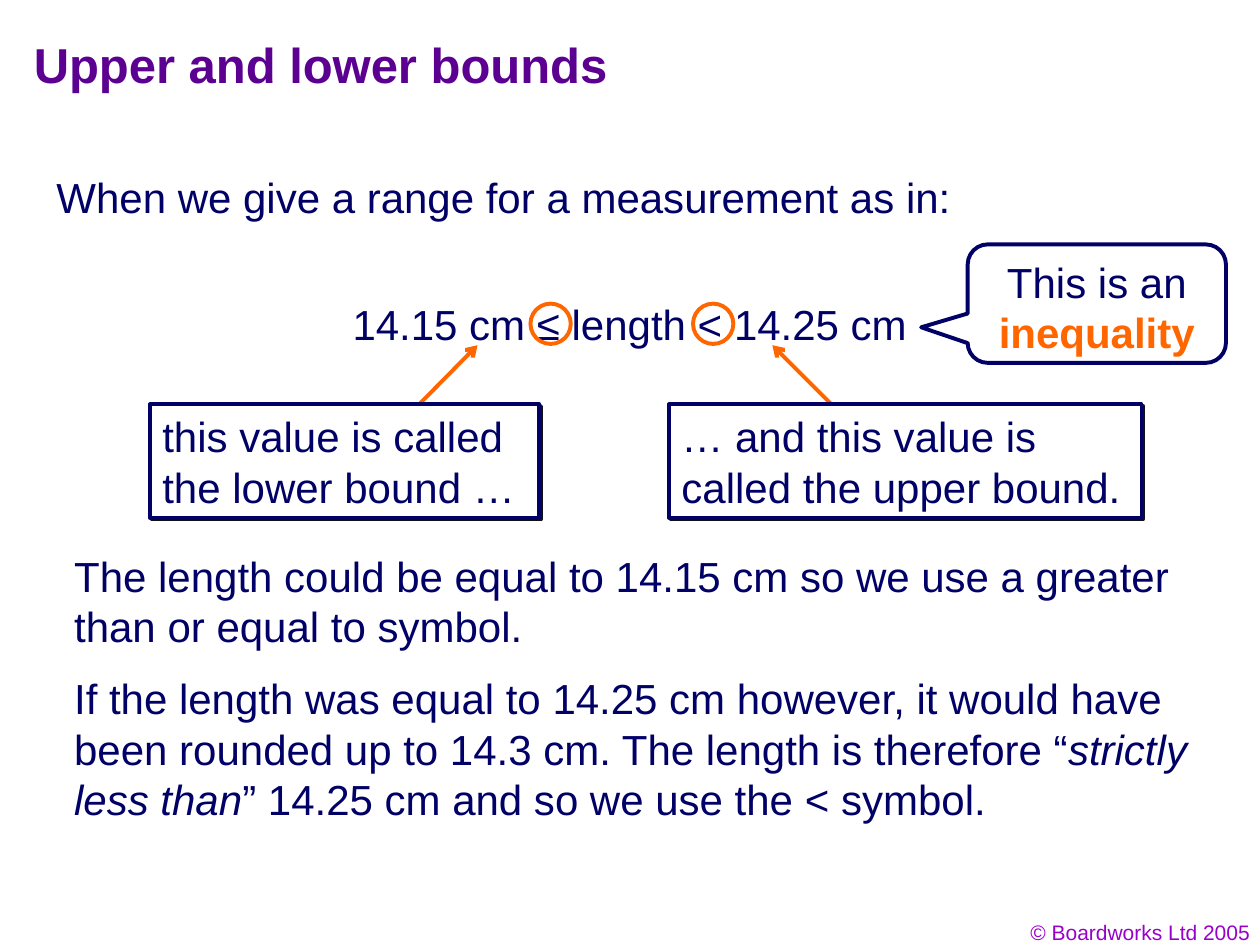
from dataclasses import dataclass

from lxml import etree
from pptx import Presentation
from pptx.dml.color import RGBColor
from pptx.enum.shapes import MSO_CONNECTOR, MSO_SHAPE
from pptx.enum.text import MSO_ANCHOR, PP_ALIGN
from pptx.oxml.ns import qn
from pptx.util import Inches, Pt

LINE = MSO_CONNECTOR.STRAIGHT
RECT = MSO_SHAPE.RECTANGLE
OVAL = MSO_SHAPE.OVAL
BUBBLE = MSO_SHAPE.ROUNDED_RECTANGULAR_CALLOUT
TOP, MIDDLE = MSO_ANCHOR.TOP, MSO_ANCHOR.MIDDLE
LEFT, CENTER, RIGHT = PP_ALIGN.LEFT, PP_ALIGN.CENTER, PP_ALIGN.RIGHT


@dataclass(frozen=True)
class Theme:
    """Hold the colours, font and sizes of the slide."""
    font: str = "Arial"
    ink: str = "010066"
    edge: str = "000066"
    accent: str = "FF6600"
    title: str = "5B0091"
    credit: str = "9900CC"
    shade: str = "111111"
    paper: str = "FFFFFF"
    body: int = 24
    head: int = 28
    small: int = 12
    stroke: float = 2.25


THEME = Theme()


def rgb(code):
    """Turn a hex code into a colour."""
    return RGBColor.from_string(code)


def write(frame, runs, align=LEFT, anchor=TOP, wrap=True, **base):
    """Fill a frame with one paragraph of (text, format) runs."""
    frame.word_wrap = wrap
    frame.vertical_anchor = anchor
    para = frame.paragraphs[0]
    para.alignment = align
    for text, extra in runs:
        look = {"name": THEME.font, "size": THEME.body, "color": THEME.ink, **base, **extra}
        run = para.add_run()
        run.text = text
        run.font.color.rgb = rgb(look.pop("color"))
        look["size"] = Pt(look["size"])
        for key, value in look.items():
            setattr(run.font, key, value)


def label(slide, box, runs, **look):
    """Add a plain text box."""
    shape = slide.shapes.add_textbox(*map(Inches, box))
    write(shape.text_frame, runs, **look)


def outline(slide, kind, box, color, fill=None):
    """Add an outlined shape, filled or hollow."""
    shape = slide.shapes.add_shape(kind, *map(Inches, box))
    shape.shadow.inherit = False
    if fill:
        shape.fill.solid()
        shape.fill.fore_color.rgb = rgb(fill)
    else:
        shape.fill.background()
    shape.line.color.rgb = rgb(color)
    shape.line.width = Pt(THEME.stroke)
    return shape


def note(slide, box, text):
    """Add a boxed note with a hard shadow."""
    shape = outline(slide, RECT, box, THEME.edge, THEME.paper)
    glow = shape.element.spPr.find(qn("a:effectLst"))
    drop = etree.SubElement(glow, qn("a:outerShdw"), dist=str(Pt(1.4)), dir="2700000")
    etree.SubElement(drop, qn("a:srgbClr"), val=THEME.shade)
    write(shape.text_frame, [(text, {})])


def arrow(slide, start, end):
    """Add an accent arrow pointing at its end."""
    link = slide.shapes.add_connector(LINE, *map(Inches, start + end))
    link.line.color.rgb = rgb(THEME.accent)
    link.line.width = Pt(THEME.stroke)
    etree.SubElement(link.line._get_or_add_ln(), qn("a:tailEnd"), type="arrow")
    etree.SubElement(link.element.spPr, qn("a:effectLst"))


def bubble(slide, box, runs, bends):
    """Add a speech bubble with centred text."""
    shape = outline(slide, BUBBLE, box, THEME.edge, THEME.paper)
    for i, bend in enumerate(bends):
        shape.adjustments[i] = bend
    write(shape.text_frame, runs, align=CENTER)


def main():
    """Build and save the slide."""
    deck = Presentation()
    deck.slide_width, deck.slide_height = Inches(10), Inches(7.5)
    slide = deck.slides.add_slide(deck.slide_layouts[6])
    edge = {"color": THEME.edge}

    label(slide, (7.69, 7.25, 2.33, 0.3), [("© Boardworks Ltd 2005", {})],
          align=RIGHT, size=THEME.small, color=THEME.credit)
    label(slide, (0.17, 0.17, 8.5, 0.67), [("Upper and lower bounds", {})],
          anchor=MIDDLE, size=THEME.head, color=THEME.title, bold=True)
    label(slide, (0.35, 1.31, 9.13, 0.5),
          [("When we give a range for a measurement as in:", {})])
    label(slide, (2.7, 2.32, 4.6, 0.5),
          [("14.15 cm ", {}), ("≤ length < ", edge), ("14.25 cm", {})], wrap=False)

    for start, tip, left, width, text in (
        (3.01, 3.79, 1.19, 3.09, "this value is called the lower bound …"),
        (6.92, 6.13, 5.31, 3.75, "… and this value is called the upper bound."),
    ):
        arrow(slide, (start, 3.53), (tip, 2.74))
        note(slide, (left, 3.21, width, 0.9), text)

    label(slide, (0.49, 4.32, 9.31, 0.9), [
        ("The length could be equal to 14.15 cm so we use a greater "
         "than or equal to symbol", {}), (".", edge)])
    label(slide, (0.49, 5.29, 9.31, 1.3), [
        ("If the length was equal to 14.25 cm however, it would have been "
         "rounded up to 14.3 cm. The length is therefore “", {}),
        ("strictly less than", {"italic": True}),
        ("” 14.25 cm and so we use the ", {}),
        ("<", edge), (" symbol", {}), (".", edge)])

    bubble(slide, (7.68, 1.94, 2.05, 0.94),
           [("This is an ", {}), ("inequality", {"color": THEME.accent, "bold": True})],
           (-0.68, 0.2, 0.17))
    for left in (4.21, 5.5):
        outline(slide, OVAL, (left, 2.41, 0.32, 0.32), THEME.accent)

    deck.save("out.pptx")


if __name__ == "__main__":
    main()
